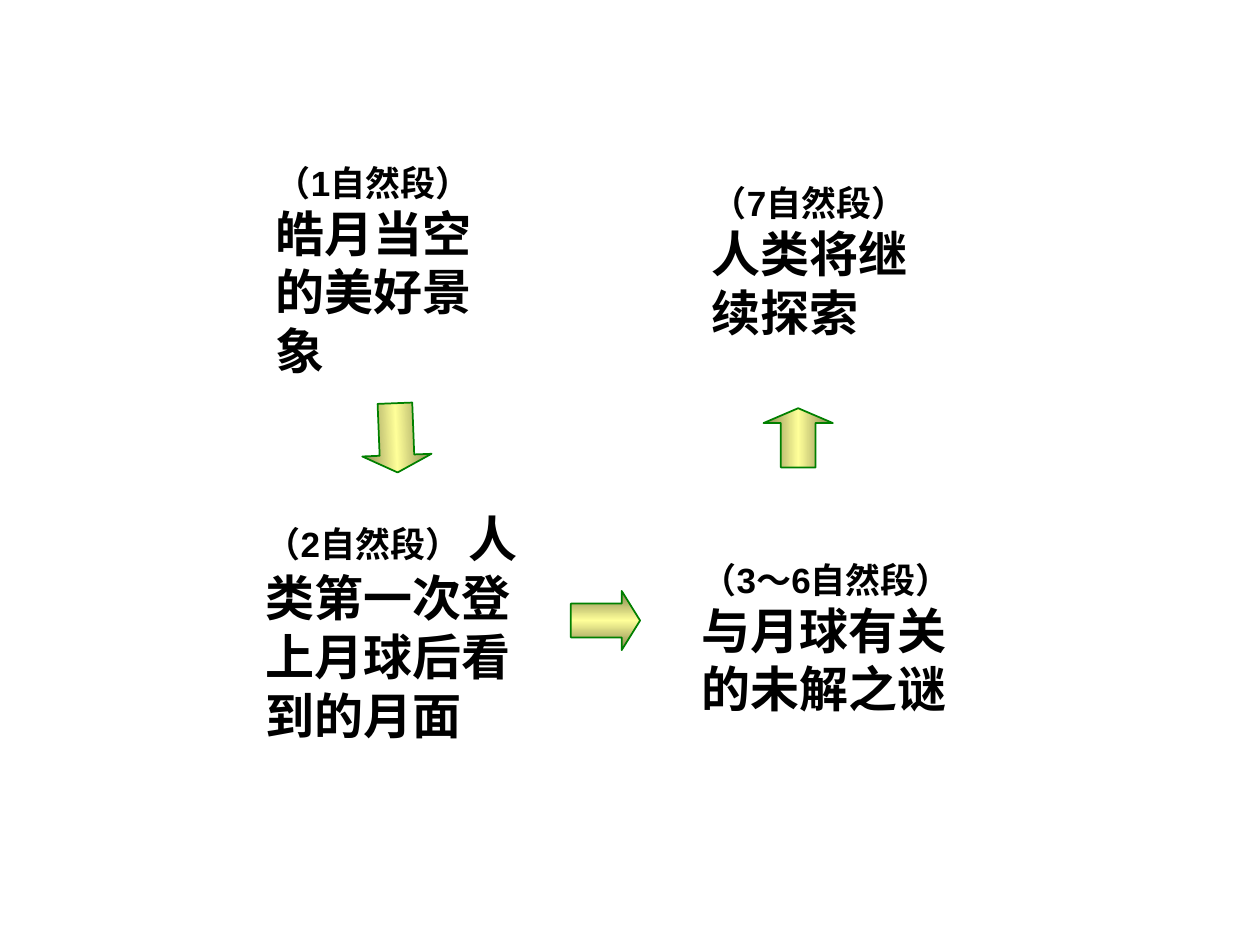
from copy import deepcopy
from pptx import Presentation
from pptx import util as u
from pptx.dml.color import RGBColor
from pptx.enum import shapes, text

COLUMNS, ROWS = 100, 75
OLIVE, YELLOW, GREEN, BLACK = "81814D", "FFFF99", "008000", "000000"


def rgb(code):
    return RGBColor.from_string(code)


def add_words(paragraph, words, size, color=BLACK, bold=True, face="Arial"):
    run = paragraph.add_run()
    run.text = words
    run.font.size, run.font.bold, run.font.name = u.Pt(size), bold, face
    run.font.color.rgb = rgb(color)


class Outline:
    """Style and current slide of the reading outline."""

    def __init__(self, deck):
        self.slide = deck.slides.add_slide(deck.slide_layouts[6])
        self.column = deck.slide_width / COLUMNS
        self.row = deck.slide_height / ROWS
        self.label_size, self.summary_size = 20, 28

    def place(self, left, top, width, height):
        return (round(left * self.column), round(top * self.row),
                round(width * self.column), round(height * self.row))

    def section(self, label, summary, *box):
        frame = self.slide.shapes.add_textbox(*self.place(*box)).text_frame
        frame.word_wrap = True
        frame.auto_size = text.MSO_AUTO_SIZE.SHAPE_TO_FIT_TEXT
        paragraph = frame.paragraphs[0]
        add_words(paragraph, label, self.label_size)
        add_words(paragraph, summary, self.summary_size)

    def arrow(self, *box, turn=0, shaft=0.5, head=0.25):
        arrow = self.slide.shapes.add_shape(
            shapes.MSO_SHAPE.RIGHT_ARROW, *self.place(*box))
        arrow.shadow.inherit = False
        arrow.rotation = turn
        arrow.adjustments[0], arrow.adjustments[1] = shaft, head
        arrow.line.color.rgb, arrow.line.width = rgb(GREEN), u.Pt(1)
        self.sheen(arrow.fill)

    def sheen(self, fill):
        fill.gradient()
        fill.gradient_angle = 90
        stop_list = fill._xPr.gradFill.gsLst
        stop_list.append(deepcopy(stop_list[-1]))
        for stop, position, color in zip(
                fill.gradient_stops, (0, 0.5, 1), (OLIVE, YELLOW, OLIVE)):
            stop.position = position
            stop.color.rgb = rgb(color)


def main():
    deck = Presentation()
    deck.slide_width, deck.slide_height = u.Inches(10), u.Inches(7.5)
    outline = Outline(deck)
    outline.arrow(61, 32, 4.7, 5.5, turn=270)
    outline.section("（1自然段）", "皓月当空的美好景象", 20.9, 12.3, 17.7, 18.4)
    outline.section("（2自然段） ", "人类第一次登上月球后看到的月面",
                    20.1, 39.9, 22.1, 18.4)
    outline.section("（3～6自然段）", "与月球有关的未解之谜",
                    54.7, 43.8, 22.9, 18.4)
    outline.section("（7自然段）", "人类将继续探索", 55.5, 13.9, 20.5, 13.7)
    outline.arrow(45.3, 46.9, 5.5, 4.7, shaft=0.57, head=0.31)
    outline.arrow(28.7, 32, 5.5, 5.5, turn=87.8)
    deck.save("out.pptx")


if __name__ == "__main__":
    main()
